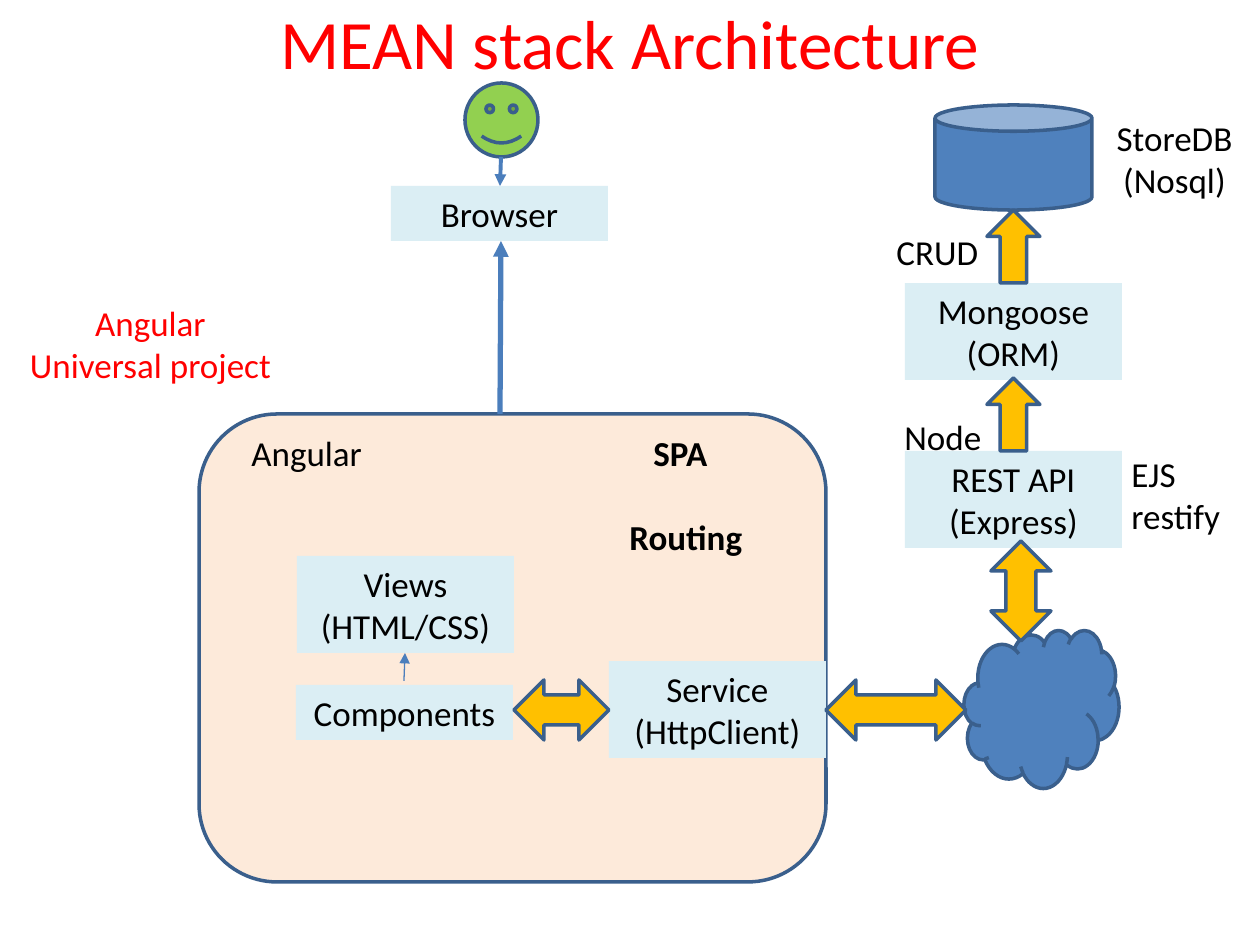
from dataclasses import dataclass

from lxml import etree
from pptx import Presentation
from pptx.dml.color import RGBColor
from pptx.enum.shapes import MSO_CONNECTOR, MSO_SHAPE
from pptx.enum.text import MSO_ANCHOR, PP_ALIGN
from pptx.oxml.ns import qn
from pptx.util import Emu, Pt

PX = 914400 // 126
LEFT, CENTER = PP_ALIGN.LEFT, PP_ALIGN.CENTER
TOP, MIDDLE = MSO_ANCHOR.TOP, MSO_ANCHOR.MIDDLE
RECT, PANEL = MSO_SHAPE.RECTANGLE, MSO_SHAPE.ROUNDED_RECTANGLE
CAN, CLOUD, SMILEY = MSO_SHAPE.CAN, MSO_SHAPE.CLOUD, MSO_SHAPE.SMILEY_FACE
UP, BOTH = MSO_SHAPE.UP_ARROW, MSO_SHAPE.LEFT_RIGHT_ARROW
STRAIGHT = MSO_CONNECTOR.STRAIGHT

CARD_W = 217
CARD_H = {1: 55, 2: 97}


@dataclass(frozen=True)
class Theme:
    """Colours, font and sizes of the slide."""
    font: str = "Calibri"
    title: float = 39.6
    body: float = 20
    outline_width: float = 2
    text: str = "000000"
    accent: str = "FF0000"
    panel: str = "FDEADA"
    card: str = "DBEEF4"
    node: str = "4F81BD"
    arrow: str = "FFC000"
    user: str = "92D050"
    outline: str = "3A5F8C"
    link: str = "4B7EBC"


THEME = Theme()


def rgb(value):
    """Turn a hex string into a colour."""
    return RGBColor.from_string(value)


def px(*values):
    """Turn picture pixels into EMU."""
    return [Emu(v * PX) for v in values]


def add_run(p, text, size=THEME.body, color=THEME.text, bold=False):
    """Append a formatted run to a paragraph."""
    r = p.add_run()
    r.text = text
    for name, value in {"name": THEME.font, "size": Pt(size), "bold": bold}.items():
        setattr(r.font, name, value)
    r.font.color.rgb = rgb(color)


def write(sp, lines, align=LEFT, anchor=TOP, **font):
    """Write one paragraph per line into a shape."""
    tf = sp.text_frame
    tf.word_wrap = True
    tf.vertical_anchor = anchor
    for i, line in enumerate(lines):
        p = tf.add_paragraph() if i else tf.paragraphs[0]
        p.alignment = align
        add_run(p, line, **font)


def add_label(slide, box, lines, **style):
    """Add a plain text box."""
    sp = slide.shapes.add_textbox(*px(*box))
    write(sp, lines, **style)


def add_figure(slide, kind, box, fill, outlined=True, rotation=0):
    """Add a filled preset shape."""
    sp = slide.shapes.add_shape(kind, *px(*box))
    sp.shadow.inherit = False
    sp.rotation = rotation
    sp.fill.solid()
    sp.fill.fore_color.rgb = rgb(fill)
    if outlined:
        sp.line.color.rgb = rgb(THEME.outline)
        sp.line.width = Pt(THEME.outline_width)
    else:
        sp.line.fill.background()
    return sp


def add_card(slide, x, y, lines, rows):
    """Add a pale component card tall enough for its rows of text."""
    sp = add_figure(slide, RECT, (x, y, CARD_W, CARD_H[rows]), THEME.card, outlined=False)
    write(sp, lines, align=CENTER)


def add_link(slide, ends, width):
    """Add a thin line with an arrowhead at its end."""
    cx = slide.shapes.add_connector(STRAIGHT, *px(*ends))
    cx.line.color.rgb = rgb(THEME.link)
    cx.line.width = Pt(width)
    etree.SubElement(cx.line._get_or_add_ln(), qn("a:tailEnd"), type="triangle")
    etree.SubElement(cx._element.spPr, qn("a:effectLst"))


def add_panel_heading(slide):
    """Add the client panel's heading, aligned by a tab stop and an indent."""
    sp = slide.shapes.add_textbox(*px(239, 425, 548, 183))
    tf = sp.text_frame
    tf.word_wrap = True
    p = tf.paragraphs[0]
    add_run(p, "Angular\t")
    add_run(p, "SPA", bold=True)
    tabs = etree.SubElement(p._p.get_or_add_pPr(), qn("a:tabLst"))
    etree.SubElement(tabs, qn("a:tab"), pos=str(402 * PX), algn="l")
    p = tf.add_paragraph()
    p.space_before = Pt(24)
    p._p.get_or_add_pPr().set("marL", str(378 * PX))
    add_run(p, "Routing", bold=True)


def main():
    """Build the architecture slide."""
    prs = Presentation()
    prs.slide_width, prs.slide_height = px(1260, 945)
    slide = prs.slides.add_slide(prs.slide_layouts[6])

    add_figure(slide, PANEL, (199, 414, 627, 468), THEME.panel)
    add_label(slide, (63, 0, 1134, 84), ["MEAN stack Architecture"], align=CENTER,
              anchor=MIDDLE, size=THEME.title, color=THEME.accent)

    add_figure(slide, CAN, (935, 105, 157, 105), THEME.node)
    add_figure(slide, CLOUD, (964, 630, 155, 158), THEME.node)
    for x, y, lines, rows in (
        (905, 283, ["Mongoose (ORM)"], 2),
        (905, 451, ["REST API", "(Express)"], 2),
        (609, 661, ["Service", "(HttpClient)"], 2),
        (296, 685, ["Components"], 1),
        (297, 556, ["Views (HTML/CSS)"], 2),
        (391, 186, ["Browser"], 1),
    ):
        add_card(slide, x, y, lines, rows)

    for kind, box, rotation in (
        (UP, (987, 210, 53, 73), 0),
        (UP, (987, 378, 53, 73), 0),
        (BOTH, (514, 680, 95, 60), 0),
        (BOTH, (826, 680, 140, 60), 0),
        (BOTH, (971, 561, 100, 60), 90),
    ):
        add_figure(slide, kind, box, THEME.arrow, rotation=rotation)

    add_panel_heading(slide)
    add_figure(slide, SMILEY, (465, 83, 73, 74), THEME.user)
    for ends, width in (
        ((404, 681, 405, 653), 0.75),
        ((500, 414, 501, 241), 3),
        ((501, 157, 500, 186), 2.25),
    ):
        add_link(slide, ends, width)

    for x, y, h, lines, style in (
        (1038, 110, 97, ["StoreDB", "(Nosql)"], {"align": CENTER}),
        (1119, 446, 97, ["EJS", "restify"], {}),
        (892, 409, 55, ["Node"], {}),
        (884, 224, 55, ["CRUD"], {}),
        (14, 295, 97, ["Angular Universal project"],
         {"align": CENTER, "color": THEME.accent}),
    ):
        add_label(slide, (x, y, 273, h), lines, **style)

    prs.save("out.pptx")


main()
